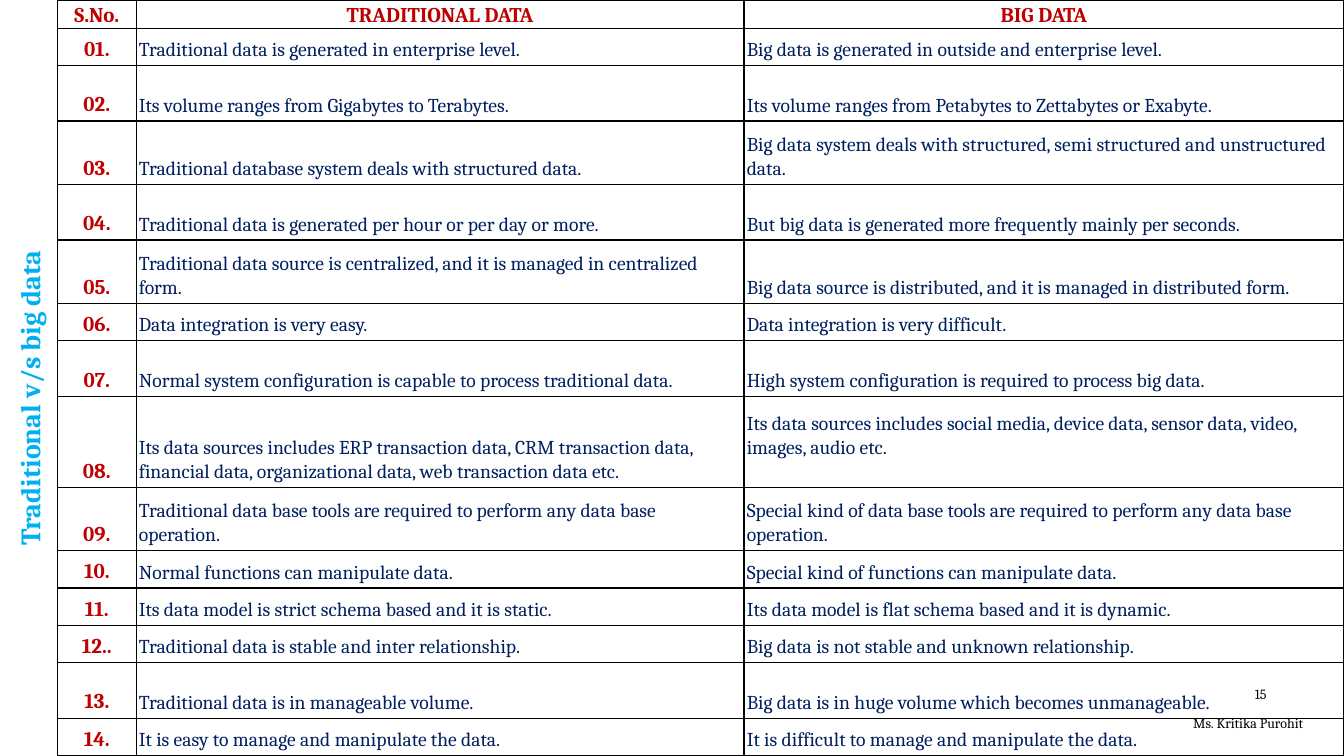
from lxml.etree import SubElement
from pptx import Presentation
from pptx.dml.color import RGBColor
from pptx.enum.text import MSO_ANCHOR, PP_ALIGN
from pptx.oxml.ns import qn
from pptx.util import Cm, Pt

COLORS = {"head": "C00000", "body": "002060", "title": "00B0F0", "line": "000000"}
WIDTHS = [1.98, 15.32, 15.11]
SHORT, MID, TALL, HUGE = 0.94, 1.4, 1.6, 2.29
HEADS = ["S.No.", "TRADITIONAL DATA", "BIG DATA"]
ROWS = [
    (SHORT, "01.", "Traditional data is generated in enterprise level.",
     "Big data is generated in outside and enterprise level."),
    (MID, "02.", "Its volume ranges from Gigabytes to Terabytes.",
     "Its volume ranges from Petabytes to Zettabytes or Exabyte."),
    (TALL, "03.", "Traditional database system deals with structured data.",
     "Big data system deals with structured, semi structured and unstructured data."),
    (MID, "04.", "Traditional data is generated per hour or per day or more.",
     "But big data is generated more frequently mainly per seconds."),
    (TALL, "05.", "Traditional data source is centralized, and it is managed in centralized form.",
     "Big data source is distributed, and it is managed in distributed form."),
    (SHORT, "06.", "Data integration is very easy.",
     "Data integration is very difficult."),
    (MID, "07.", "Normal system configuration is capable to process traditional data.",
     "High system configuration is required to process big data."),
    (HUGE, "08.", "Its data sources includes ERP transaction data, CRM transaction data, "
     "financial data, organizational data, web transaction data etc.",
     "Its data sources includes social media, device data, sensor data, video, images, audio etc."),
    (TALL, "09.", "Traditional data base tools are required to perform any data base operation.",
     "Special kind of data base tools are required to perform any data base operation."),
    (SHORT, "10.", "Normal functions can manipulate data.",
     "Special kind of functions can manipulate data."),
    (SHORT, "11.", "Its data model is strict schema based and it is static.",
     "Its data model is flat schema based and it is dynamic."),
    (SHORT, "12..", "Traditional data is stable and inter relationship.",
     "Big data is not stable and unknown relationship."),
    (MID, "13.", "Traditional data is in manageable volume.",
     "Big data is in huge volume which becomes unmanageable."),
    (SHORT, "14.", "It is easy to manage and manipulate the data.",
     "It is difficult to manage and manipulate the data."),
]


def write(frame, text, size=14, color="body", bold=False, align=PP_ALIGN.LEFT,
          space=1.0, face="Cambria"):
    para = frame.paragraphs[0]
    para.alignment = align
    para.line_spacing = space
    run = para.add_run()
    run.text = text
    run.font.name = face
    run.font.size = Pt(size)
    run.font.bold = bold
    run.font.color.rgb = RGBColor.from_string(COLORS[color])


class Deck:
    def __init__(self):
        self.show = Presentation()
        self.show.slide_width, self.show.slide_height = Cm(33.87), Cm(19.05)
        self.slide = self.show.slides.add_slide(self.show.slide_layouts[5])

    def label(self, text, left, top, width, **style):
        box = self.slide.shapes.add_textbox(Cm(left), Cm(top), Cm(width), Cm(1.02))
        box.text_frame.word_wrap = True
        box.text_frame.vertical_anchor = MSO_ANCHOR.MIDDLE
        write(box.text_frame, text, size=10, color="line", **style)

    def title(self, text, left, top, width, height):
        title = self.slide.shapes.title
        title.left, title.top = Cm(left), Cm(top)
        title.width, title.height = Cm(width), Cm(height)
        title.rotation = 270
        title.text_frame.vertical_anchor = MSO_ANCHOR.MIDDLE
        write(title.text_frame, text, size=20, color="title", bold=True,
              align=PP_ALIGN.CENTER)
        title.element.getparent().append(title.element)

    def cell(self, cell, text, side, edge, low, **style):
        cell.margin_left = cell.margin_right = Cm(side)
        cell.margin_top, cell.margin_bottom = Cm(edge), Cm(low)
        cell.vertical_anchor = MSO_ANCHOR.BOTTOM
        props = cell._tc.get_or_add_tcPr()
        for name in ("a:lnL", "a:lnR", "a:lnT", "a:lnB"):
            line = SubElement(props, qn(name), w=str(Pt(1)))
            fill = SubElement(line, qn("a:solidFill"))
            SubElement(fill, qn("a:srgbClr"), val=COLORS["line"])
        cell.fill.background()
        write(cell.text_frame, text, space=1.07, **style)

    def table(self, left, top):
        rows = [(0.71, *HEADS), *ROWS]
        table = self.slide.shapes.add_table(
            len(rows), len(WIDTHS), Cm(left), Cm(top), Cm(sum(WIDTHS)),
            Cm(sum(row[0] for row in rows))).table
        table.first_row = table.horz_banding = False
        for col, width in zip(table.columns, WIDTHS):
            col.width = Cm(width)
        strong = {"size": 15, "color": "head", "bold": True, "align": PP_ALIGN.CENTER}
        for r, (height, *texts) in enumerate(rows):
            table.rows[r].height = Cm(height)
            side, edge = (0.07, 0.1) if r else (0, 0)
            for c, text in enumerate(texts):
                low = 0.7 if height == HUGE and c == 2 else edge
                style = strong if r == 0 or c == 0 else {}
                self.cell(table.cell(r, c), text, side, edge, low, **style)


def main():
    deck = Deck()
    deck.label("Ms. Kritika Purohit", 29.82, 17.7, 3.91)
    deck.label("15", 31.01, 16.97, 1.52, align=PP_ALIGN.CENTER)
    deck.table(1.45, 0)
    deck.title("Traditional v/s big data", -7.42, 9.3, 16.31, 1.47)
    deck.show.save("out.pptx")


if __name__ == "__main__":
    main()
